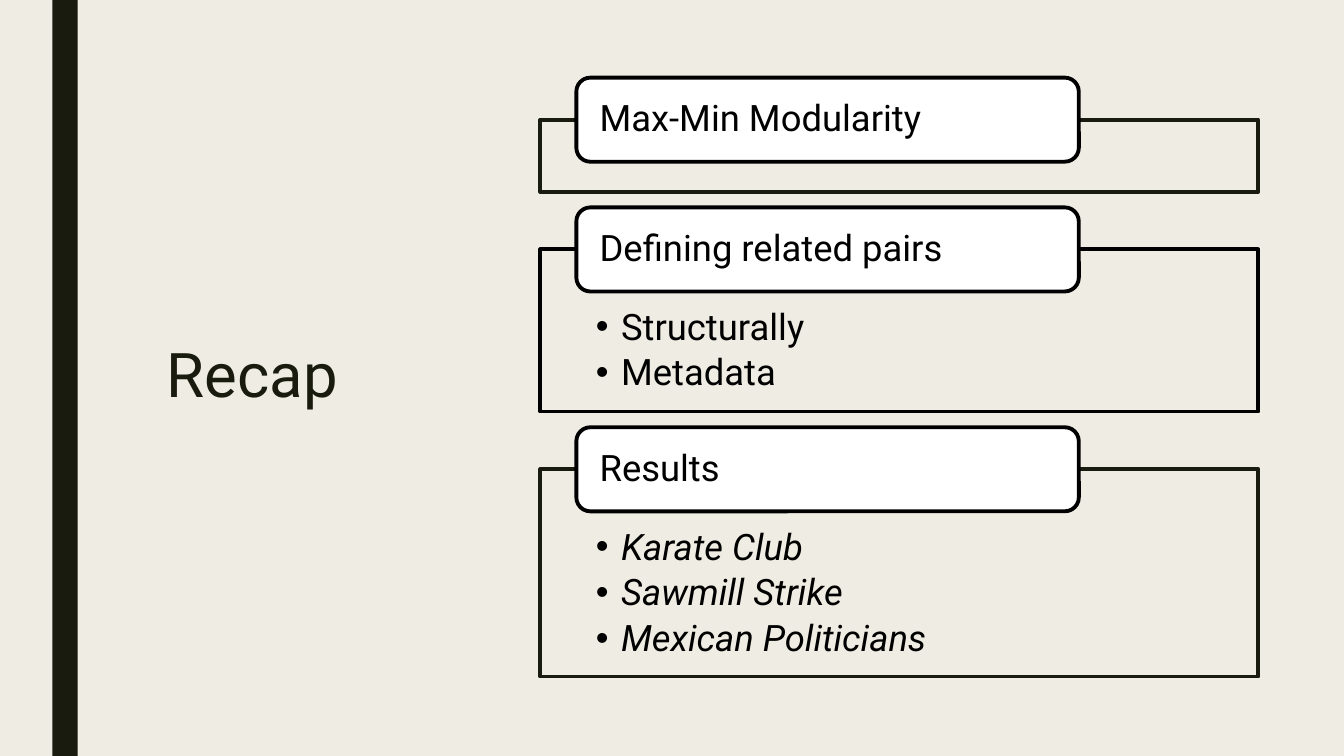
from lxml import etree
from pptx import Presentation
from pptx.dml.color import RGBColor
from pptx.enum.shapes import MSO_SHAPE
from pptx.enum.text import MSO_ANCHOR, PP_ALIGN
from pptx.oxml.ns import qn
from pptx.util import Inches, Pt

RECT = MSO_SHAPE.RECTANGLE
ROUND = MSO_SHAPE.ROUNDED_RECTANGLE
MIDDLE, TOP = MSO_ANCHOR.MIDDLE, MSO_ANCHOR.TOP
LEFT, CENTER = PP_ALIGN.LEFT, PP_ALIGN.CENTER

FONT = "Roboto"
COLORS = {"paper": "EFEDE3", "olive": "191B0E", "black": "000000", "white": "FFFFFF"}
WIDE, HIGH = 13.33, 7.5

TOPICS = [
    ("Max-Min Modularity", [], "olive", False),
    ("Defining related pairs", ["Structurally", "Metadata"], "black", False),
    ("Results", ["Karate Club", "Sawmill Strike", "Mexican Politicians"], "olive", True),
]


def color(name):
    return RGBColor.from_string(COLORS[name])


def place(shape, box):
    shape.left, shape.top, shape.width, shape.height = map(Inches, box)


def add_box(slide, kind, box, fill, line=None):
    shape = slide.shapes.add_shape(kind, *map(Inches, box))
    shape.shadow.inherit = False
    shape.fill.solid()
    shape.fill.fore_color.rgb = color(fill)
    if line:
        shape.line.color.rgb = color(line)
        shape.line.width = Pt(2.75)
    else:
        shape.line.fill.background()
    return shape


def write(shape, lines, size, tint, align, anchor, pads, after=0, italic=False):
    frame = shape.text_frame
    frame.word_wrap = True
    frame.vertical_anchor = anchor
    (frame.margin_left, frame.margin_top,
     frame.margin_right, frame.margin_bottom) = map(Inches, pads)
    frame.text = "\n".join(lines)
    for para in frame.paragraphs:
        para.alignment = align
        para.line_spacing = 0.9
        para.space_after = Pt(after)
        para.font.name = FONT
        para.font.size = Pt(size)
        para.font.italic = italic
        para.font.color.rgb = color(tint)
    return frame


def add_bullet(para):
    props = para._p.get_or_add_pPr()
    props.set("marL", str(Inches(0.25)))
    props.set("indent", str(-Inches(0.25)))
    font = etree.Element(qn("a:buFont"), typeface="Arial")
    mark = etree.Element(qn("a:buChar"), char="•")
    props.find(qn("a:spcAft")).addnext(font)
    font.addnext(mark)


def add_title(slide, box, text):
    title = slide.shapes.title
    place(title, box)
    write(title, [text], 44, "olive", CENTER, MIDDLE, (0.1, 0.05, 0.1, 0.05))


def add_topics(slide, box, topics):
    left, top, width, height = box
    col, row = width / 100, height / 100
    tab, lap, base, step, gap = 14 * row, 7 * row, 12 * row, 7.5 * row, 2.6 * row
    for name, points, line, italic in topics:
        tall = base + len(points) * step
        body = add_box(slide, RECT, (left, top + lap, width, tall), "paper", line)
        if points:
            frame = write(body, points, 26, "black", LEFT, TOP,
                          (0.55, 0.59, 0.55, 0.2), 4.5, italic)
            for para in frame.paragraphs:
                add_bullet(para)
        head = add_box(slide, ROUND, (left + 5 * col, top, 70 * col, tab), "white", "black")
        write(head, [name], 26, "black", LEFT, MIDDLE, (0.19, 0, 0.19, 0))
        top += lap + tall + gap


def add_recap(deck):
    slide = deck.slides.add_slide(deck.slide_layouts[5])
    slide.background.fill.solid()
    slide.background.fill.fore_color.rgb = color("paper")
    add_box(slide, RECT, (0.52, 0, 0.25, HIGH), "olive")
    add_title(slide, (0.7, 0.7, 3.61, 6.1), "Recap")
    add_topics(slide, (5.36, 0.77, 7.12, 5.96), TOPICS)


deck = Presentation()
deck.slide_width, deck.slide_height = Inches(WIDE), Inches(HIGH)
add_recap(deck)
deck.save("out.pptx")
